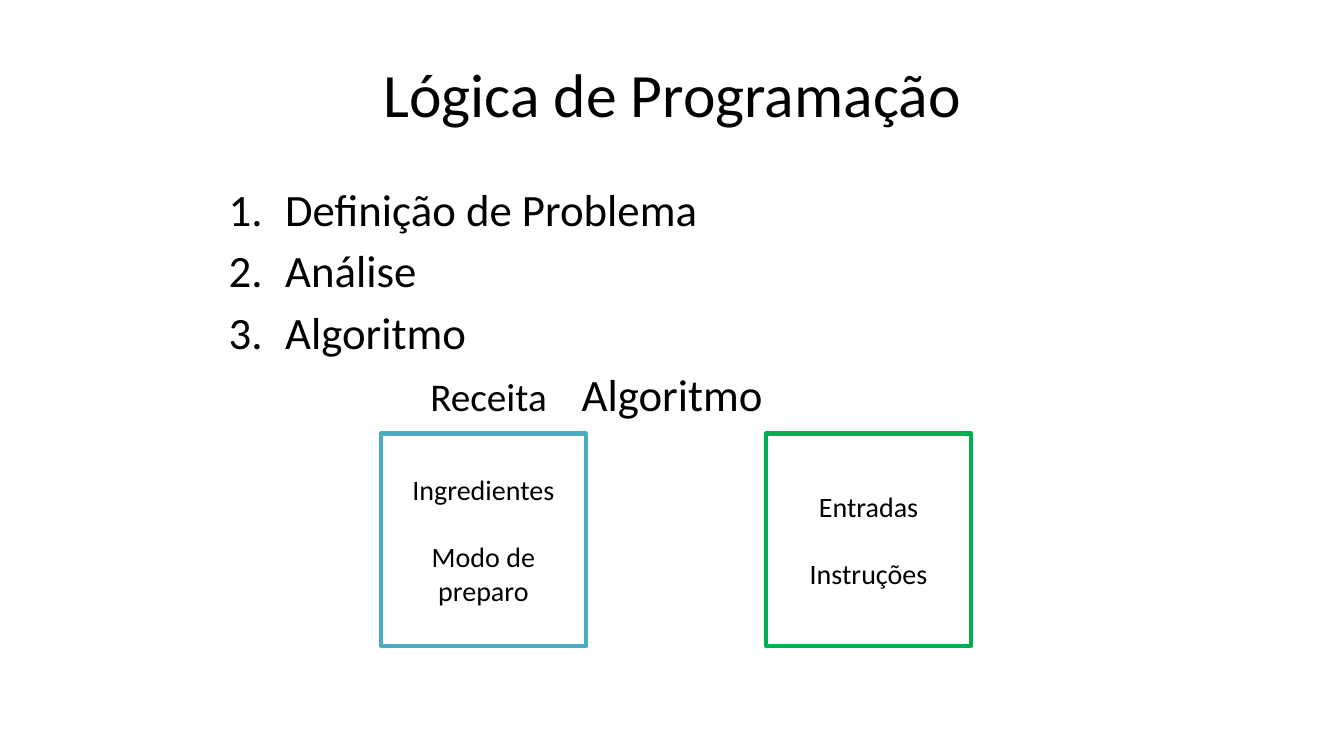
from dataclasses import dataclass

from lxml.etree import SubElement
from pptx import Presentation
from pptx.dml.color import RGBColor
from pptx.enum.shapes import MSO_SHAPE as Shape
from pptx.enum.text import MSO_ANCHOR as Anchor, PP_ALIGN as Align
from pptx.oxml.ns import qn
from pptx.util import Inches, Pt


@dataclass(frozen=True)
class Theme:
    font: str = "Calibri"
    text: str = "000000"
    paper: str = "FFFFFF"
    recipe: str = "4BACC6"
    algorithm: str = "00B050"
    title: int = 44
    step: int = 32
    caption: int = 28
    card: int = 20


THEME = Theme()
TITLE_ONLY = 5


def color(code):
    return RGBColor.from_string(code)


def add_run(para, text, size):
    run = para.add_run()
    run.text = text
    run.font.name = THEME.font
    run.font.size = Pt(size)
    run.font.color.rgb = color(THEME.text)


def next_para(frame, index):
    return frame.paragraphs[0] if index == 0 else frame.add_paragraph()


def set_indent(para, left, first=0):
    props = para._p.get_or_add_pPr()
    props.set("marL", str(Inches(left)))
    props.set("indent", str(Inches(first)))
    return props


def set_title(page, text):
    title = page.shapes.title
    title.left, title.top = Inches(0.67), Inches(0.3)
    title.width, title.height = Inches(12), Inches(1.25)
    frame = title.text_frame
    frame.vertical_anchor = Anchor.MIDDLE
    para = frame.paragraphs[0]
    para.alignment = Align.CENTER
    add_run(para, text, THEME.title)


def add_steps(page, steps, captions):
    """Add the numbered steps and, below them, a line of captions set by a tab."""
    box = page.shapes.add_textbox(Inches(2.17), Inches(1.75), Inches(8.88), Inches(4.95))
    frame = box.text_frame
    frame.word_wrap = True
    for index, step in enumerate(steps):
        para = next_para(frame, index)
        para.space_before = Pt(5.6)
        props = set_indent(para, 0.56, -0.56)
        SubElement(props, qn("a:buFont"), typeface="+mj-lt")
        SubElement(props, qn("a:buAutoNum"), type="arabicPeriod")
        add_run(para, step, THEME.step)

    para = frame.add_paragraph()
    para.space_before = Pt(5.6)
    props = set_indent(para, 2)
    stops = SubElement(props, qn("a:tabLst"))
    SubElement(stops, qn("a:tab"), pos=str(Inches(5.4)), algn="l")
    left_caption, right_caption = captions
    add_run(para, left_caption, THEME.caption)
    add_run(para, "\t" + right_caption, THEME.step)


def add_card(page, left, outline, lines):
    card = page.shapes.add_shape(
        Shape.RECTANGLE, Inches(left), Inches(4.3), Inches(2.03), Inches(2.11))
    card.shadow.inherit = False
    card.fill.solid()
    card.fill.fore_color.rgb = color(THEME.paper)
    card.line.color.rgb = color(outline)
    card.line.width = Pt(3)
    frame = card.text_frame
    frame.word_wrap = True
    frame.vertical_anchor = Anchor.MIDDLE
    for index, line in enumerate(lines):
        para = next_para(frame, index)
        para.alignment = Align.CENTER
        if index:
            para.space_before = Pt(24)
        add_run(para, line, THEME.card)


def main():
    deck = Presentation()
    deck.slide_width, deck.slide_height = Inches(13.33), Inches(7.5)
    page = deck.slides.add_slide(deck.slide_layouts[TITLE_ONLY])
    set_title(page, "Lógica de Programação")
    add_steps(page, ["Definição de Problema", "Análise", "Algoritmo"],
              ["Receita", "Algoritmo"])
    add_card(page, 3.78, THEME.recipe, ["Ingredientes", "Modo de preparo"])
    add_card(page, 7.6, THEME.algorithm, ["Entradas", "Instruções"])
    deck.save("out.pptx")


if __name__ == "__main__":
    main()
